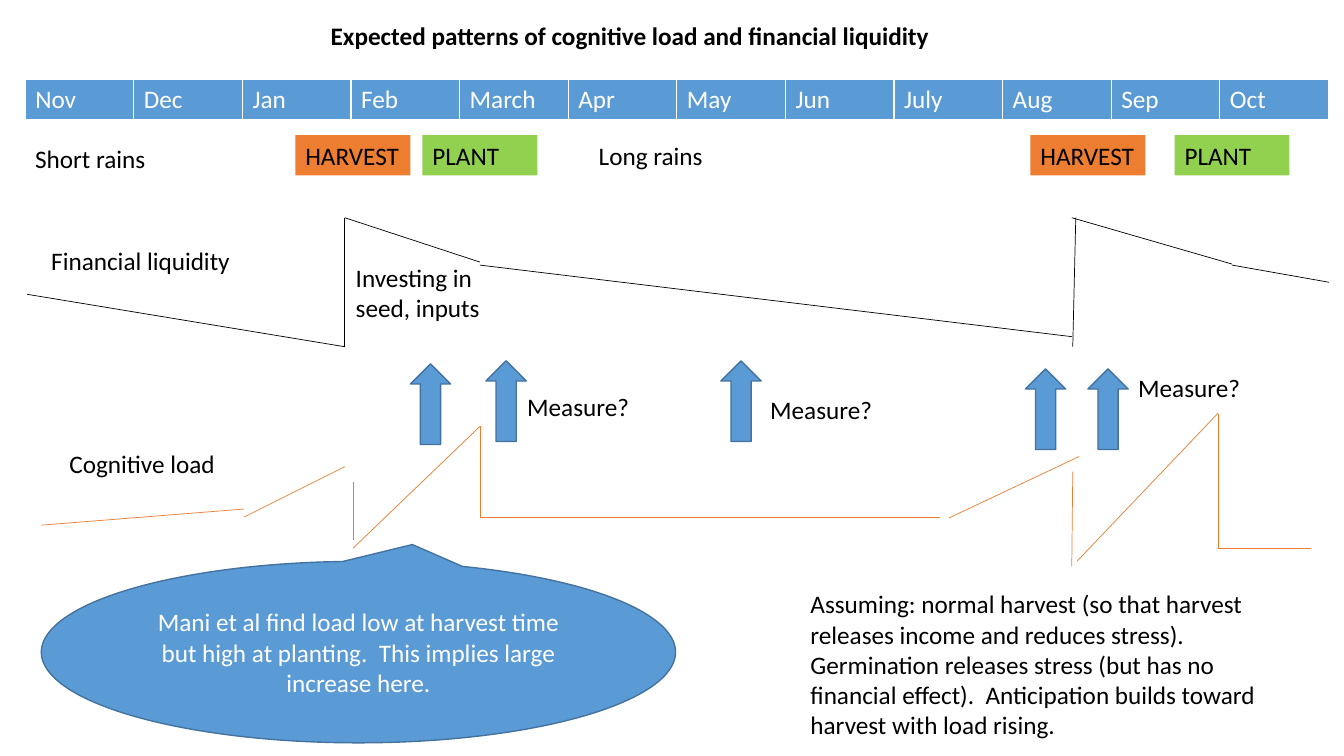
"""Build a slide of expected cognitive load and financial liquidity across the farming year."""

from dataclasses import dataclass

import lxml.etree
import pptx
import pptx.dml.color
import pptx.enum.shapes
import pptx.enum.text
import pptx.oxml
import pptx.oxml.ns
import pptx.util

Inches = pptx.util.Inches
Pt = pptx.util.Pt
Align = pptx.enum.text.PP_ALIGN
Anchor = pptx.enum.text.MSO_ANCHOR
Preset = pptx.enum.shapes.MSO_SHAPE

BLUE, DARK_BLUE = "5B9BD5", "43739E"
ORANGE, GREEN = "ED7D31", "92D050"
BLACK, WHITE = "000000", "FFFFFF"

MONTHS = ["Nov", "Dec", "Jan", "Feb", "March", "Apr", "May", "Jun", "July", "Aug", "Sep", "Oct"]


@dataclass
class Label:
    text: str
    left: float
    top: float
    width: float
    height: float = 0.4


@dataclass
class Season:
    text: str
    left: float
    fill: str


@dataclass
class Curve:
    color: str
    segments: list[tuple[float, float, float, float]]


TITLE = Label("Expected patterns of cognitive load and financial liquidity", 3.18, 0.15, 7.04)

SEASONS = [
    Season("HARVEST", 2.93, ORANGE),
    Season("HARVEST", 10.22, ORANGE),
    Season("PLANT", 4.19, GREEN),
    Season("PLANT", 11.65, GREEN),
]

LIQUIDITY = Curve(BLACK, [
    (0.27, 2.92, 3.42, 3.44),
    (3.42, 3.44, 3.42, 2.16),
    (3.42, 2.16, 4.76, 2.6),
    (4.76, 2.63, 10.63, 3.34),
    (10.64, 3.44, 10.67, 2.16),
    (10.63, 2.16, 12.22, 2.62),
    (12.22, 2.63, 13.18, 2.8),
])

COGNITIVE_LOAD = Curve(ORANGE, [
    (0.41, 5.21, 2.42, 5.05),
    (2.42, 5.13, 3.42, 4.63),
    (3.5, 4.78, 3.5, 5.36),
    (3.5, 5.44, 4.76, 4.23),
    (4.76, 4.23, 4.76, 5.13),
    (4.76, 5.13, 9.32, 5.13),
    (9.41, 5.14, 10.7, 4.53),
    (10.64, 4.68, 10.63, 5.62),
    (10.68, 5.57, 12.08, 4.1),
    (12.08, 4.11, 12.08, 5.44),
    (12.08, 5.44, 13, 5.44),
])

LABELS = [
    Label("Financial liquidity", 0.41, 2.38, 2.52),
    Label("Cognitive load", 0.59, 4.4, 2.04),
    Label("Investing in seed, inputs", 3.43, 2.55, 1.63, 0.71),
    Label("Long rains", 5.84, 1.34, 2),
    Label("Short rains", 0.25, 1.37, 2),
    Label("Measure?", 5.13, 3.83, 1.71),
    Label("Measure?", 11.19, 3.64, 1.71),
    Label("Measure?", 7.54, 3.86, 1.71),
    Label(
        "Assuming: normal harvest (so that harvest releases income and reduces stress).  "
        "Germination releases stress (but has no financial effect).  "
        "Anticipation builds toward harvest with load rising.",
        7.94, 5.79, 4.76, 1.62,
    ),
]

CALLOUT = Label(
    "Mani et al find load low at harvest time but high at planting.  "
    "This implies large increase here.",
    0.41, 5.57, 6.29, 1.8,
)

MEASURE_ARROWS = [(4.82, 3.58), (4.07, 3.61), (7.15, 3.58), (10.17, 3.66), (10.79, 3.66)]


def rgb(color: str) -> pptx.dml.color.RGBColor:
    return pptx.dml.color.RGBColor.from_string(color)


def write_text(text_frame, text: str, color: str = BLACK, bold: bool = False,
               align=Align.LEFT, anchor=Anchor.TOP) -> None:
    text_frame.text = text
    text_frame.word_wrap = True
    text_frame.vertical_anchor = anchor
    for paragraph in text_frame.paragraphs:
        paragraph.alignment = align
        for run in paragraph.runs:
            run.font.name = "Calibri"
            run.font.size = Pt(18)
            run.font.bold = bold
            run.font.color.rgb = rgb(color)


def add_title(slide, label: Label) -> None:
    title = slide.shapes.title
    title.left, title.top = Inches(label.left), Inches(label.top)
    title.width, title.height = Inches(label.width), Inches(label.height)
    write_text(title.text_frame, label.text, bold=True)
    title.text_frame.auto_size = pptx.enum.text.MSO_AUTO_SIZE.NONE


def add_label(slide, label: Label) -> None:
    box = slide.shapes.add_textbox(
        Inches(label.left), Inches(label.top), Inches(label.width), Inches(label.height))
    write_text(box.text_frame, label.text)


def add_filled_shape(slide, preset, left: float, top: float, width: float, height: float,
                     fill: str, outline: str | None = None):
    shape = slide.shapes.add_shape(
        preset, Inches(left), Inches(top), Inches(width), Inches(height))
    shape.shadow.inherit = False
    shape.fill.solid()
    shape.fill.fore_color.rgb = rgb(fill)
    if outline:
        shape.line.color.rgb = rgb(outline)
        shape.line.width = Pt(1)
    else:
        shape.line.fill.background()
    return shape


def add_curve(slide, curve: Curve) -> None:
    for segment in curve.segments:
        connector = slide.shapes.add_connector(
            pptx.enum.shapes.MSO_CONNECTOR.STRAIGHT, *map(Inches, segment))
        connector.line.color.rgb = rgb(curve.color)
        connector.line.width = Pt(0.5)
        lxml.etree.SubElement(
            connector.element.spPr, pptx.oxml.ns.qn("a:effectLst"))


def set_borders(cell) -> None:
    properties = cell._tc.get_or_add_tcPr()
    for index, (side, points) in enumerate({"L": 1, "R": 1, "T": 1, "B": 3}.items()):
        border = pptx.oxml.parse_xml(
            f'<a:ln{side} {pptx.oxml.ns.nsdecls("a")} w="{Pt(points)}">'
            f'<a:solidFill><a:srgbClr val="{WHITE}"/></a:solidFill></a:ln{side}>')
        properties.insert(index, border)


def add_calendar(slide) -> None:
    table = slide.shapes.add_table(
        1, len(MONTHS), Inches(0.25), Inches(0.79), Inches(12.93), Inches(0.41)).table
    for cell, month in zip(table.rows[0].cells, MONTHS):
        write_text(cell.text_frame, month, WHITE)
        cell.fill.solid()
        cell.fill.fore_color.rgb = rgb(BLUE)
        set_borders(cell)


def main() -> None:
    presentation = pptx.Presentation()
    presentation.slide_width, presentation.slide_height = Inches(13.33), Inches(7.5)
    slide = presentation.slides.add_slide(presentation.slide_layouts.get_by_name("Title Only"))

    add_title(slide, TITLE)
    add_calendar(slide)
    for season in SEASONS:
        shape = add_filled_shape(
            slide, Preset.RECTANGLE, season.left, 1.34, 1.14, 0.4, season.fill)
        write_text(shape.text_frame, season.text)
    for curve in (LIQUIDITY, COGNITIVE_LOAD):
        add_curve(slide, curve)

    callout = add_filled_shape(
        slide, Preset.OVAL_CALLOUT, CALLOUT.left, CALLOUT.top,
        CALLOUT.width, CALLOUT.height, BLUE, DARK_BLUE)
    callout.adjustments[0], callout.adjustments[1] = 0.085, -0.593
    write_text(callout.text_frame, CALLOUT.text, WHITE, align=Align.CENTER, anchor=Anchor.MIDDLE)

    for left, top in MEASURE_ARROWS:
        add_filled_shape(slide, Preset.UP_ARROW, left, top, 0.4, 0.8, BLUE, DARK_BLUE)
    for label in LABELS:
        add_label(slide, label)
    presentation.save("out.pptx")


if __name__ == "__main__":
    main()
